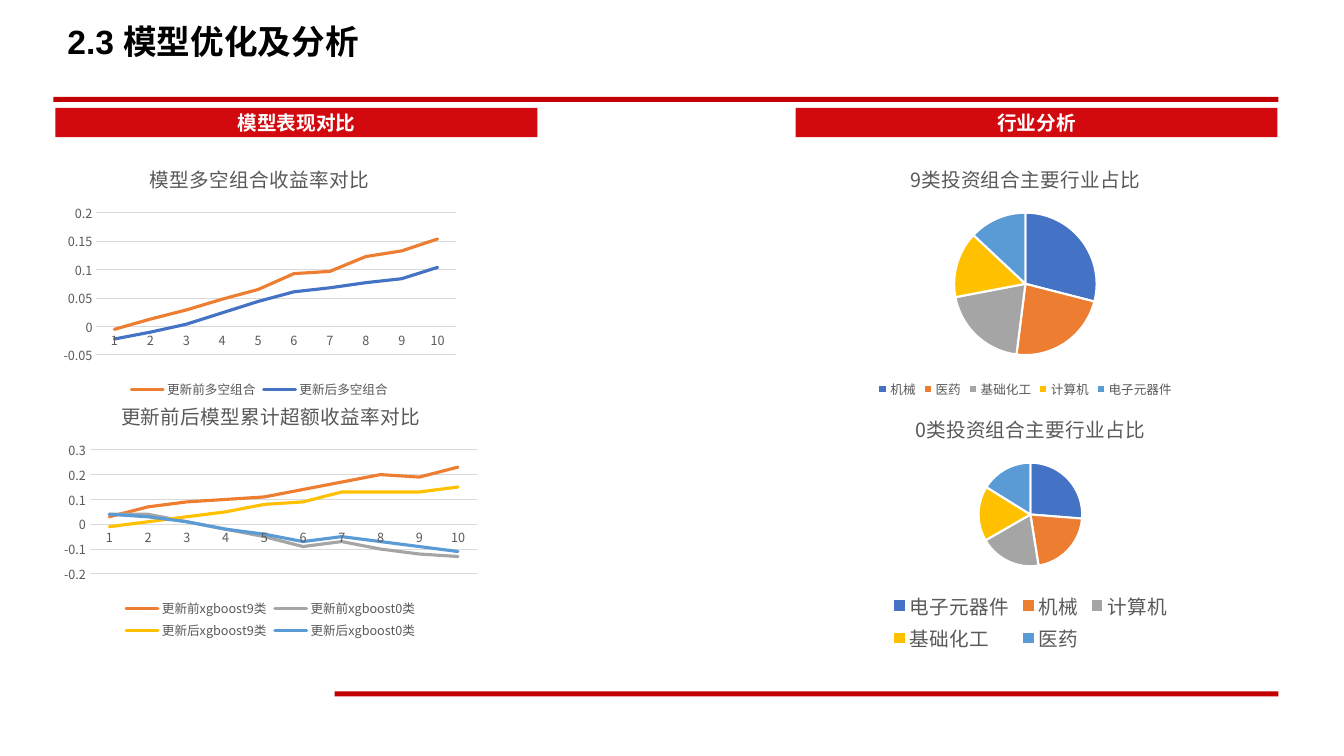
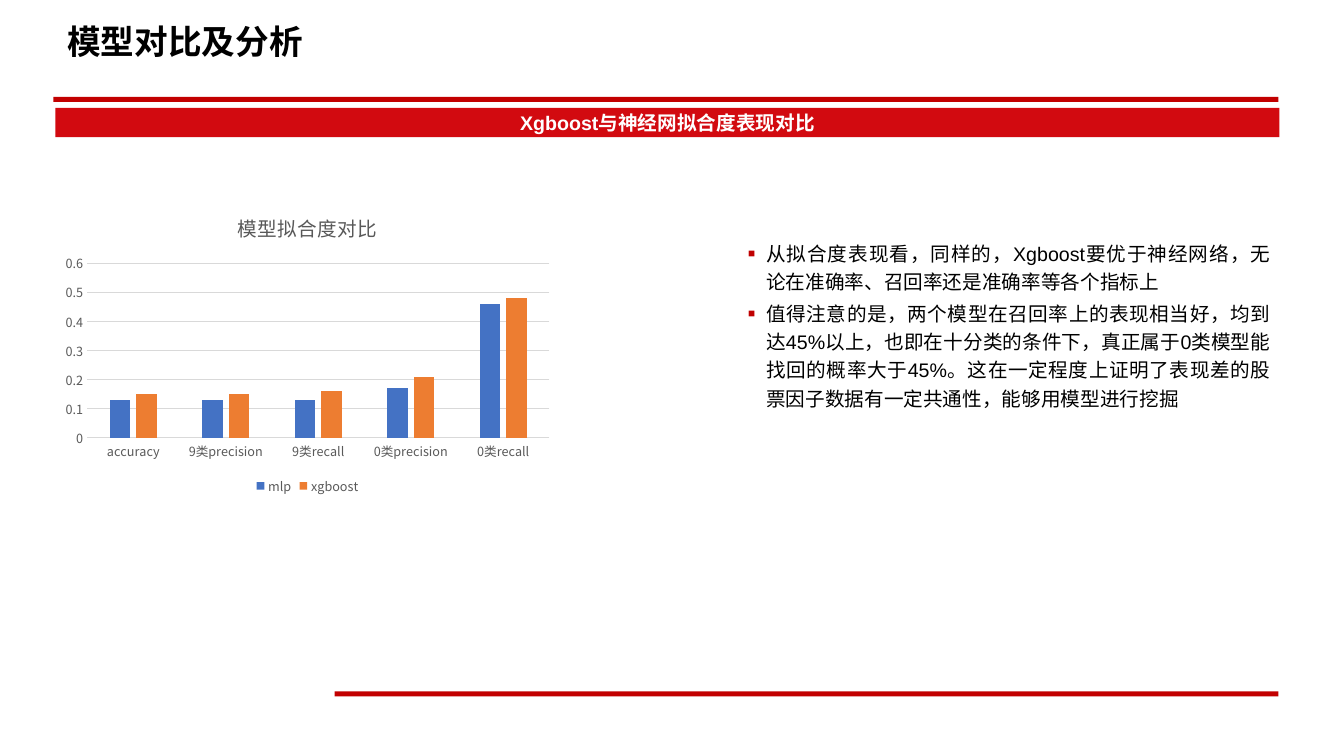
from pptx import Presentation
from pptx.chart.data import CategoryChartData
from pptx.dml.color import RGBColor
from pptx.enum.chart import XL_CHART_TYPE, XL_LEGEND_POSITION, XL_TICK_MARK
from pptx.enum.shapes import MSO_SHAPE
from pptx.enum.text import MSO_ANCHOR, PP_ALIGN
from pptx.oxml.xmlchemy import OxmlElement
from pptx.util import Inches, Pt

COLORS = {
    "rule": "C20000", "band": "D20A10", "bullet": "C00000", "white": "FFFFFF",
    "black": "000000", "label": "595959", "grid": "D9D9D9", "blue": "4472C4",
    "orange": "ED7D31", "gray": "A5A5A5", "gold": "FFC000", "sky": "5B9BD5",
}
TEXT_FONT, CJK_FONT = "Arial", "Noto Sans CJK SC"
PIE_COLORS = ["blue", "orange", "gray", "gold", "sky"]
RULES = [(0.53, 0.96, 12.15, 0.05), (3.32, 6.86, 9.36, 0.05)]
DECILES = [str(n) for n in range(1, 11)]

# Content: bands are (text, left, width); series are (name, color, values)
SLIDES = [
    {
        "title": "2.3 模型优化及分析",
        "bands": [("模型表现对比", 0.55, 4.78), ("行业分析", 7.89, 4.78)],
        "charts": [
            {"type": XL_CHART_TYPE.LINE, "at": (0.55, 1.47, 4.05, 2.52),
             "title": "模型多空组合收益率对比", "cats": DECILES,
             "scale": (-0.05, 0.2, 0.05),
             "series": [
                 ("更新前多空组合", "orange",
                  [-0.005, 0.013, 0.029, 0.048, 0.065, 0.093, 0.097, 0.123, 0.133, 0.154]),
                 ("更新后多空组合", "blue",
                  [-0.022, -0.01, 0.004, 0.024, 0.044, 0.061, 0.068, 0.077, 0.084, 0.104]),
             ]},
            {"type": XL_CHART_TYPE.LINE, "at": (0.55, 3.82, 4.27, 2.56),
             "title": "更新前后模型累计超额收益率对比", "cats": DECILES,
             "scale": (-0.2, 0.3, 0.1),
             "series": [
                 ("更新前xgboost9类", "orange",
                  [0.03, 0.07, 0.09, 0.1, 0.11, 0.14, 0.17, 0.2, 0.19, 0.23]),
                 ("更新前xgboost0类", "gray",
                  [0.04, 0.04, 0.01, -0.02, -0.05, -0.09, -0.07, -0.1, -0.12, -0.13]),
                 ("更新后xgboost9类", "gold",
                  [-0.01, 0.01, 0.03, 0.05, 0.08, 0.09, 0.13, 0.13, 0.13, 0.15]),
                 ("更新后xgboost0类", "sky",
                  [0.04, 0.03, 0.01, -0.02, -0.04, -0.07, -0.05, -0.07, -0.09, -0.11]),
             ]},
            {"type": XL_CHART_TYPE.PIE, "at": (7.67, 1.47, 5, 2.52),
             "title": "9类投资组合主要行业占比",
             "cats": ["机械", "医药", "基础化工", "计算机", "电子元器件"],
             "series": [("占比", None, [29, 23, 20, 15, 13])]},
            {"type": XL_CHART_TYPE.PIE, "at": (7.76, 3.95, 4.92, 2.56),
             "title": "0类投资组合主要行业占比", "legend_size": 14,
             "cats": ["电子元器件", "机械", "计算机", "基础化工", "医药"],
             "series": [("占比", None, [26, 21, 19, 17, 16])]},
        ],
        "bullets": [],
    },
    {
        "title": "模型对比及分析",
        "bands": [("Xgboost与神经网拟合度表现对比", 0.55, 12.14)],
        "charts": [
            {"type": XL_CHART_TYPE.COLUMN_CLUSTERED, "at": (0.55, 1.95, 5, 3),
             "title": "模型拟合度对比", "scale": (0, 0.6, 0.1),
             "cats": ["accuracy", "9类precision", "9类recall", "0类precision", "0类recall"],
             "series": [("mlp", "blue", [0.13, 0.13, 0.13, 0.17, 0.46]),
                        ("xgboost", "orange", [0.15, 0.15, 0.16, 0.21, 0.48])]},
        ],
        "bullets": [
            "从拟合度表现看，同样的，Xgboost要优于神经网络，无论在准确率、召回率还是准确率等各个指标上",
            "值得注意的是，两个模型在召回率上的表现相当好，均到达45%以上，也即在十分类的条件下，"
            "真正属于0类模型能找回的概率大于45%。这在一定程度上证明了表现差的股票因子数据有一定共通性，"
            "能够用模型进行挖掘",
        ],
    },
]


def rgb(name):
    return RGBColor.from_string(COLORS[name])


def box(at):
    return [Inches(v) for v in at]


def set_font(font, size, color, bold=False, name=TEXT_FONT):
    for key, value in {"size": Pt(size), "bold": bold, "name": name}.items():
        setattr(font, key, value)
    font.color.rgb = rgb(color)


def add_run(p, text, size, color, bold=False):
    r = p.add_run()
    r.text = text
    set_font(r.font, size, color, bold)
    ea = OxmlElement("a:ea")
    ea.set("typeface", CJK_FONT)
    r.font._element.append(ea)


def set_margins(tf, x, y):
    for side, value in zip(("left", "right", "top", "bottom"), (x, x, y, y)):
        setattr(tf, f"margin_{side}", Inches(value))
    tf.word_wrap = True


def add_rect(s, at, color):
    sp = s.shapes.add_shape(MSO_SHAPE.RECTANGLE, *box(at))
    sp.shadow.inherit = False
    sp.fill.solid()
    sp.fill.fore_color.rgb = rgb(color)
    sp.line.fill.background()
    return sp


def add_band(s, text, left, width):
    tf = add_rect(s, (left, 1.07, width, 0.29), "band").text_frame
    set_margins(tf, 0.1, 0)
    tf.vertical_anchor = MSO_ANCHOR.MIDDLE
    p = tf.paragraphs[0]
    p.alignment = PP_ALIGN.CENTER
    add_run(p, text, 14, "white", True)


def add_frame(s, title):
    for at in RULES:
        add_rect(s, at, "rule")
    tf = s.shapes.add_textbox(*box((0.57, 0.2, 9.6, 0.66))).text_frame
    set_margins(tf, 0.1, 0.05)
    p = tf.paragraphs[0]
    p.line_spacing = 0.9
    add_run(p, title, 24, "black", True)


def add_bullets(s, items):
    tf = s.shapes.add_textbox(*box((7.33, 2.31, 5.36, 1.82))).text_frame
    set_margins(tf, 0.09, 0.04)
    for i, text in enumerate(items):
        p = tf.paragraphs[0] if i == 0 else tf.add_paragraph()
        p.alignment, p.line_spacing, p.space_before = PP_ALIGN.JUSTIFY, 1.2, Pt(2.7)
        pPr = p._p.get_or_add_pPr()
        pPr.set("marL", str(Inches(0.18)))
        pPr.set("indent", str(-Inches(0.18)))
        marks = [("buClr", {}), ("buSzPct", {"val": "60000"}),
                 ("buFont", {"typeface": TEXT_FONT}), ("buChar", {"char": "■"})]
        for tag, attrs in marks:
            mark = OxmlElement(f"a:{tag}")
            for key, value in attrs.items():
                mark.set(key, value)
            if tag == "buClr":
                clr = OxmlElement("a:srgbClr")
                clr.set("val", COLORS["bullet"])
                mark.append(clr)
            pPr.append(mark)
        add_run(p, text, 14, "black")


def style_axes(chart, scale):
    cat, val = chart.category_axis, chart.value_axis
    for axis in (cat, val):
        axis.major_tick_mark = axis.minor_tick_mark = XL_TICK_MARK.NONE
        set_font(axis.tick_labels.font, 9, "label", name=CJK_FONT)
    val.minimum_scale, val.maximum_scale, val.major_unit = scale
    val.tick_labels.number_format = "General"
    val.tick_labels.number_format_is_linked = False
    val.format.line.fill.background()
    for line in (cat.format.line, val.major_gridlines.format.line):
        line.color.rgb = rgb("grid")
        line.width = Pt(0.75)


def add_chart(s, spec_):
    data = CategoryChartData()
    data.categories = spec_["cats"]
    for name, _, values in spec_["series"]:
        data.add_series(name, values)
    kind = spec_["type"]
    chart = s.shapes.add_chart(kind, *box(spec_["at"]), data).chart
    set_font(chart.font, 10, "black", name=CJK_FONT)

    # Title and legend
    chart.has_title = chart.has_legend = True
    p = chart.chart_title.text_frame.paragraphs[0]
    p.text = spec_["title"]
    set_font(p.runs[0].font, 14, "label", name=CJK_FONT)
    chart.chart_title.include_in_layout = False
    chart.legend.position = XL_LEGEND_POSITION.BOTTOM
    chart.legend.include_in_layout = False
    set_font(chart.legend.font, spec_.get("legend_size", 9), "label", name=CJK_FONT)

    # Plot colors
    plot = chart.plots[0]
    plot.vary_by_categories = kind == XL_CHART_TYPE.PIE
    if kind == XL_CHART_TYPE.PIE:
        for i, color in enumerate(PIE_COLORS):
            fmt = plot.series[0].points[i].format
            fmt.fill.solid()
            fmt.fill.fore_color.rgb = rgb(color)
            fmt.line.color.rgb = rgb("white")
            fmt.line.width = Pt(1.5)
        return
    style_axes(chart, spec_["scale"])
    if kind == XL_CHART_TYPE.COLUMN_CLUSTERED:
        plot.gap_width, plot.overlap = 219, -27
    for series, (_, color, _) in zip(plot.series, spec_["series"]):
        if kind == XL_CHART_TYPE.LINE:
            series.smooth = False
            series.format.line.color.rgb = rgb(color)
            series.format.line.width = Pt(2.25)
            series.format.line._ln.set("cap", "rnd")
        else:
            series.format.fill.solid()
            series.format.fill.fore_color.rgb = rgb(color)


def main():
    prs = Presentation()
    prs.slide_width, prs.slide_height = Inches(13.33), Inches(7.5)
    for content in SLIDES:
        s = prs.slides.add_slide(prs.slide_layouts[6])
        add_frame(s, content["title"])
        for band in content["bands"]:
            add_band(s, *band)
        for chart in content["charts"]:
            add_chart(s, chart)
        if content["bullets"]:
            add_bullets(s, content["bullets"])
    prs.save("out.pptx")


if __name__ == "__main__":
    main()
